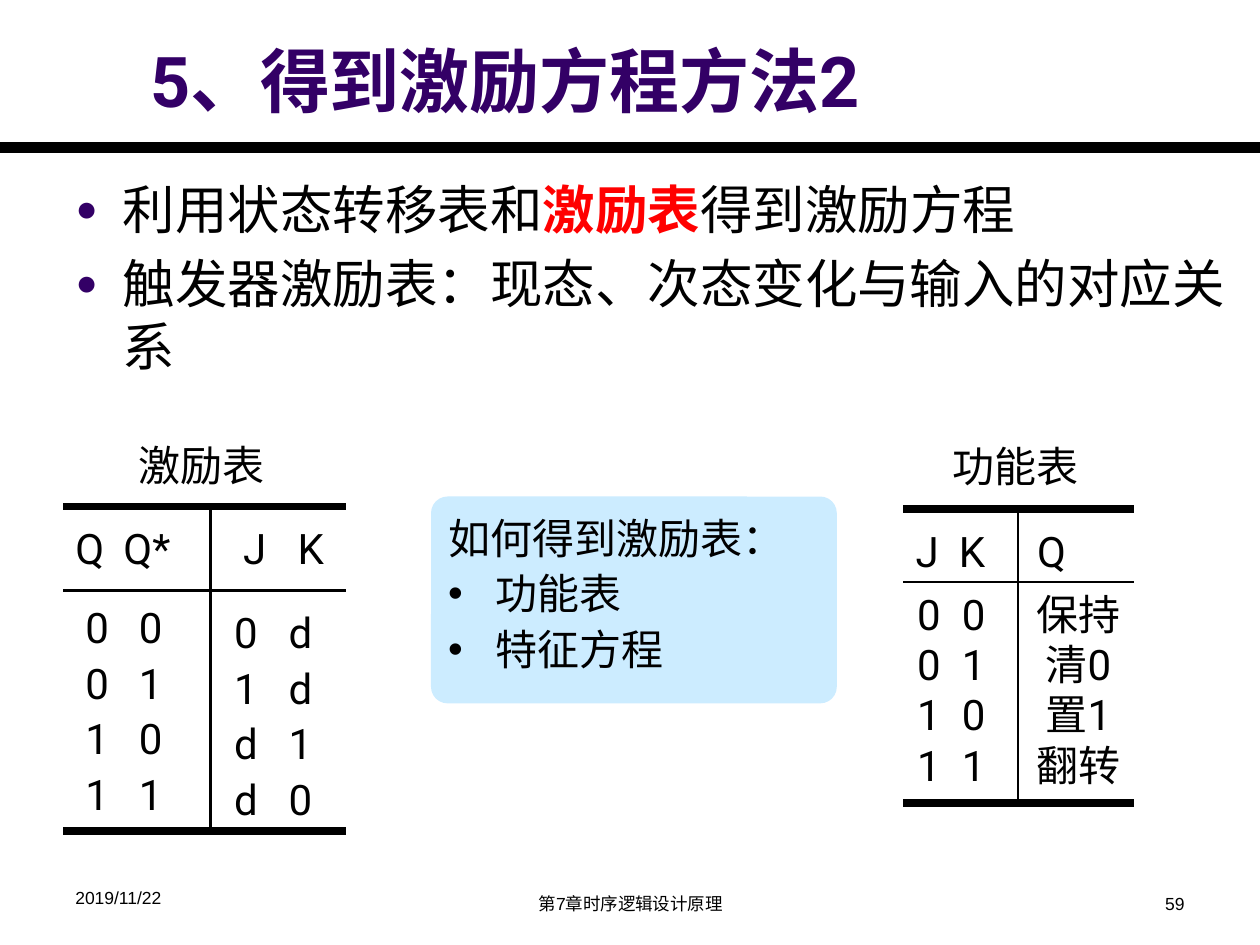
from dataclasses import dataclass

import lxml.etree
import pptx
import pptx.dml.color
import pptx.enum.shapes
import pptx.enum.text
import pptx.oxml.ns
import pptx.util

Cm = pptx.util.Cm
Pt = pptx.util.Pt
Align = pptx.enum.text.PP_ALIGN
BLACK = pptx.dml.color.RGBColor(0x00, 0x00, 0x00)
PURPLE = pptx.dml.color.RGBColor(0x33, 0x00, 0x66)
RED = pptx.dml.color.RGBColor(0xFF, 0x00, 0x00)
PALE_BLUE = pptx.dml.color.RGBColor(0xCC, 0xEC, 0xFF)
INDENT = Cm(0.95)


@dataclass(frozen=True)
class Label:
    box: tuple[float, float, float, float]
    lines: tuple[str, ...]
    tabs: tuple[float, ...] = ()
    font: str = "Roboto"
    size: float = 24
    align: Align = Align.LEFT
    spacing: float = 1.0
    wrap: bool = True


@dataclass(frozen=True)
class TableRules:
    left: float
    right: float
    divider: float
    top: float
    header: float
    bottom: float


LABELS = (
    Label((2.54, 8.74, 3.07, 1.3), ("激励表",), font="Arial", wrap=False),
    Label((1.27, 10.41, 2.72, 1.3), ("Q\tQ*",), (0.97,)),
    Label((4.65, 10.41, 2.18, 1.3), ("J\tK",), (1.1,)),
    Label((1.47, 11.91, 2.26, 4.78), ("0\t0", "0\t1", "1\t0", "1\t1"), (1.08,), spacing=1.1),
    Label((4.47, 12.01, 2.26, 4.67), ("0\td", "1\td", "d\t1", "d\t0"), (1.1,), spacing=1.1),
    Label((18.95, 8.76, 3.07, 1.3), ("功能表",), font="Arial", wrap=False),
    Label((18.21, 10.46, 3.86, 1.3), ("J\tK\tQ",), (0.87, 2.45)),
    Label((18.24, 11.73, 2.26, 4.37), ("0\t0", "0\t1", "1\t0", "1\t1"), (0.9,)),
    Label((20.62, 11.73, 2.24, 4.37), ("保持", "清0", "置1", "翻转"), align=Align.CENTER, wrap=False),
    Label((1.27, 17.75, 5.92, 0.86), ("2019/11/22",), font="Arial", size=10),
    Label((8.69, 17.88, 8.05, 0.74), ("第7章时序逻辑设计原理",), font="Arial", size=10, align=Align.CENTER),
    Label((18.21, 17.88, 5.92, 0.74), ("59",), font="Arial", size=10, align=Align.RIGHT),
)

TABLES = (
    TableRules(1.27, 6.98, 4.24, 10.21, 11.91, 16.76),
    TableRules(18.21, 22.86, 20.52, 10.26, 11.73, 16.18),
)


def add_property(paragraph, tag: str, **attributes: str):
    properties = paragraph._p.get_or_add_pPr()
    return lxml.etree.SubElement(properties, pptx.oxml.ns.qn(tag), attributes)


def format_runs(paragraph, font: str, size: float, color=BLACK, bold: bool = False) -> None:
    for run in paragraph.runs:
        run.font.name = font
        run.font.size = Pt(size)
        run.font.color.rgb = color
        run.font.bold = bold


def set_indent(paragraph) -> None:
    properties = paragraph._p.get_or_add_pPr()
    properties.set("marL", str(INDENT))
    properties.set("indent", str(-INDENT))


def place(shape, left: float, top: float, width: float, height: float) -> None:
    shape.left, shape.top = Cm(left), Cm(top)
    shape.width, shape.height = Cm(width), Cm(height)


def add_label(slide, label: Label) -> None:
    text_box = slide.shapes.add_textbox(*map(Cm, label.box))
    text_frame = text_box.text_frame
    text_frame.word_wrap = label.wrap
    text_frame.text = "\n".join(label.lines)
    for paragraph in text_frame.paragraphs:
        paragraph.alignment = label.align
        paragraph.line_spacing = label.spacing
        format_runs(paragraph, label.font, label.size)
        if label.tabs:
            tab_list = add_property(paragraph, "a:tabLst")
            for position in label.tabs:
                lxml.etree.SubElement(
                    tab_list, pptx.oxml.ns.qn("a:tab"), pos=str(Cm(position)), algn="l"
                )


def add_line(slide, start: tuple[float, float], end: tuple[float, float], width: float) -> None:
    line = slide.shapes.add_connector(
        pptx.enum.shapes.MSO_CONNECTOR.STRAIGHT, *map(Cm, start + end)
    )
    line.line.color.rgb = BLACK
    line.line.width = Pt(width)
    lxml.etree.SubElement(line._element.spPr, pptx.oxml.ns.qn("a:effectLst"))


def add_table_rules(slide, rules: TableRules) -> None:
    for height, width in ((rules.top, 4.5), (rules.header, 1.5), (rules.bottom, 4.5)):
        add_line(slide, (rules.left, height), (rules.right, height), width)
    add_line(slide, (rules.divider, rules.top), (rules.divider, rules.bottom), 1.5)


def fill_title(title) -> None:
    place(title, 2.77, 0.51, 19.18, 2.06)
    title.text_frame.text = "5、得到激励方程方法2"
    title.text_frame.auto_size = pptx.enum.text.MSO_AUTO_SIZE.NONE
    title.text_frame.vertical_anchor = pptx.enum.text.MSO_ANCHOR.BOTTOM
    paragraph = title.text_frame.paragraphs[0]
    paragraph.alignment = Align.LEFT
    format_runs(paragraph, "Roboto", 40, PURPLE, True)


def fill_body(body) -> None:
    place(body, 1.27, 3.45, 24.13, 4.29)
    text_frame = body.text_frame
    text_frame.text = "\n触发器激励表：现态、次态变化与输入的对应关系"
    text_frame.auto_size = pptx.enum.text.MSO_AUTO_SIZE.NONE
    for text in ("利用状态转移表和", "激励表", "得到激励方程"):
        text_frame.paragraphs[0].add_run().text = text
    for paragraph in text_frame.paragraphs:
        set_indent(paragraph)
        bullet_color = add_property(paragraph, "a:buClr")
        lxml.etree.SubElement(bullet_color, pptx.oxml.ns.qn("a:srgbClr"), val=str(PURPLE))
        add_property(paragraph, "a:buSzPct", val="70000")
        add_property(paragraph, "a:buFont", typeface="Arial")
        add_property(paragraph, "a:buChar", char="●")
        format_runs(paragraph, "Arial", 30)
    keyword = text_frame.paragraphs[0].runs[1]
    keyword.font.color.rgb = RED
    keyword.font.bold = True


def add_hint(slide) -> None:
    hint = slide.shapes.add_shape(
        pptx.enum.shapes.MSO_SHAPE.ROUNDED_RECTANGLE, *map(Cm, (8.69, 10.01, 8.18, 4.17))
    )
    hint.adjustments[0] = 0.08
    hint.shadow.inherit = False
    hint.fill.solid()
    hint.fill.fore_color.rgb = PALE_BLUE
    hint.line.fill.background()
    text_frame = hint.text_frame
    text_frame.word_wrap = True
    text_frame.vertical_anchor = pptx.enum.text.MSO_ANCHOR.TOP
    text_frame.text = "如何得到激励表：\n功能表\n特征方程"
    for index, paragraph in enumerate(text_frame.paragraphs):
        paragraph.alignment = Align.LEFT
        paragraph.line_spacing = 1.1
        format_runs(paragraph, "Arial", 24)
        if index:
            set_indent(paragraph)
            add_property(paragraph, "a:buFont", typeface="Arial")
            add_property(paragraph, "a:buChar", char="•")


def main() -> None:
    presentation = pptx.Presentation()
    presentation.slide_width, presentation.slide_height = Cm(25.4), Cm(19.05)
    slide = presentation.slides.add_slide(presentation.slide_layouts[1])
    add_line(slide, (0, 2.97), (25.4, 2.97), 6)
    fill_title(slide.shapes.title)
    fill_body(slide.placeholders[1])
    add_hint(slide)
    for rules in TABLES:
        add_table_rules(slide, rules)
    for label in LABELS:
        add_label(slide, label)
    presentation.save("out.pptx")


if __name__ == "__main__":
    main()
